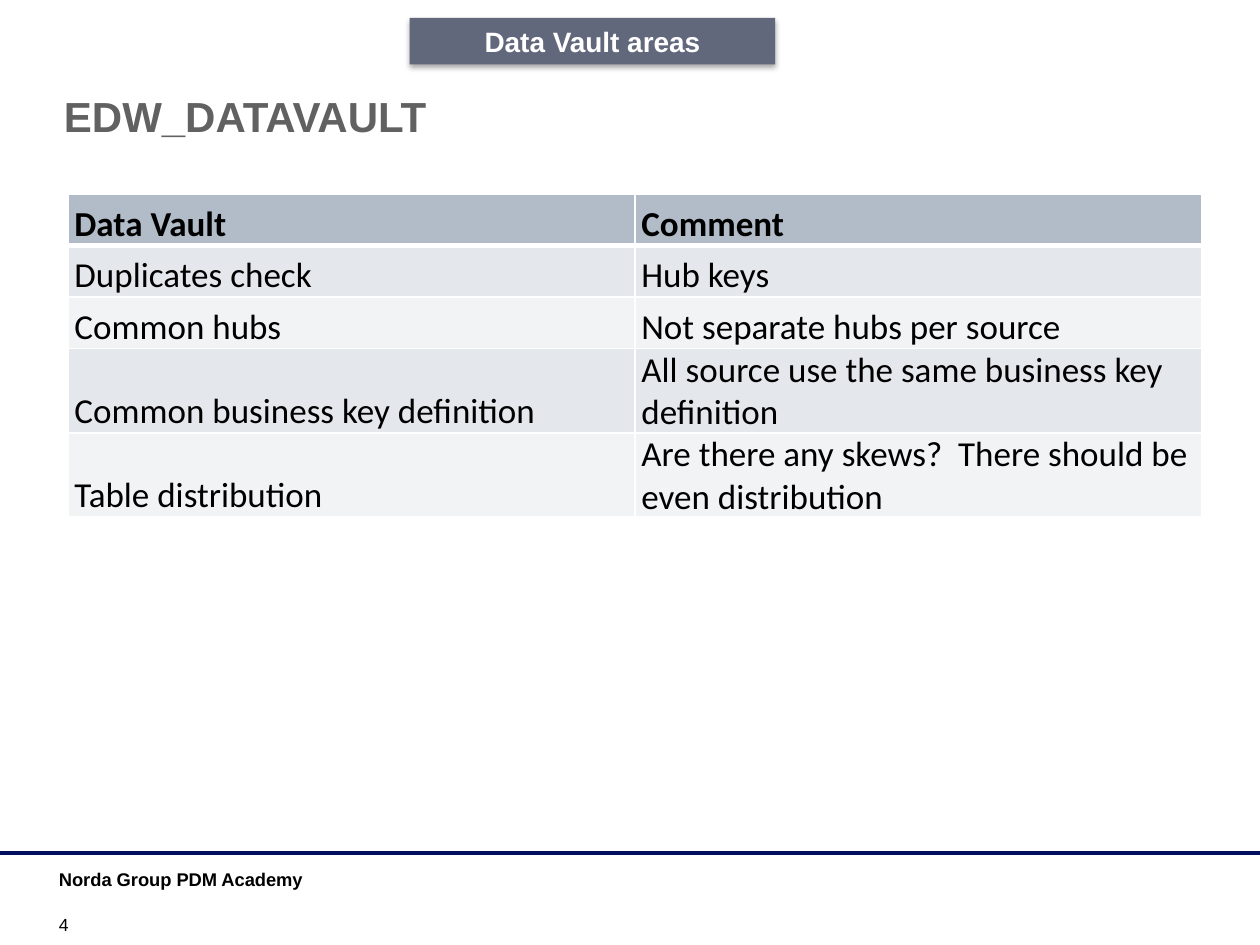
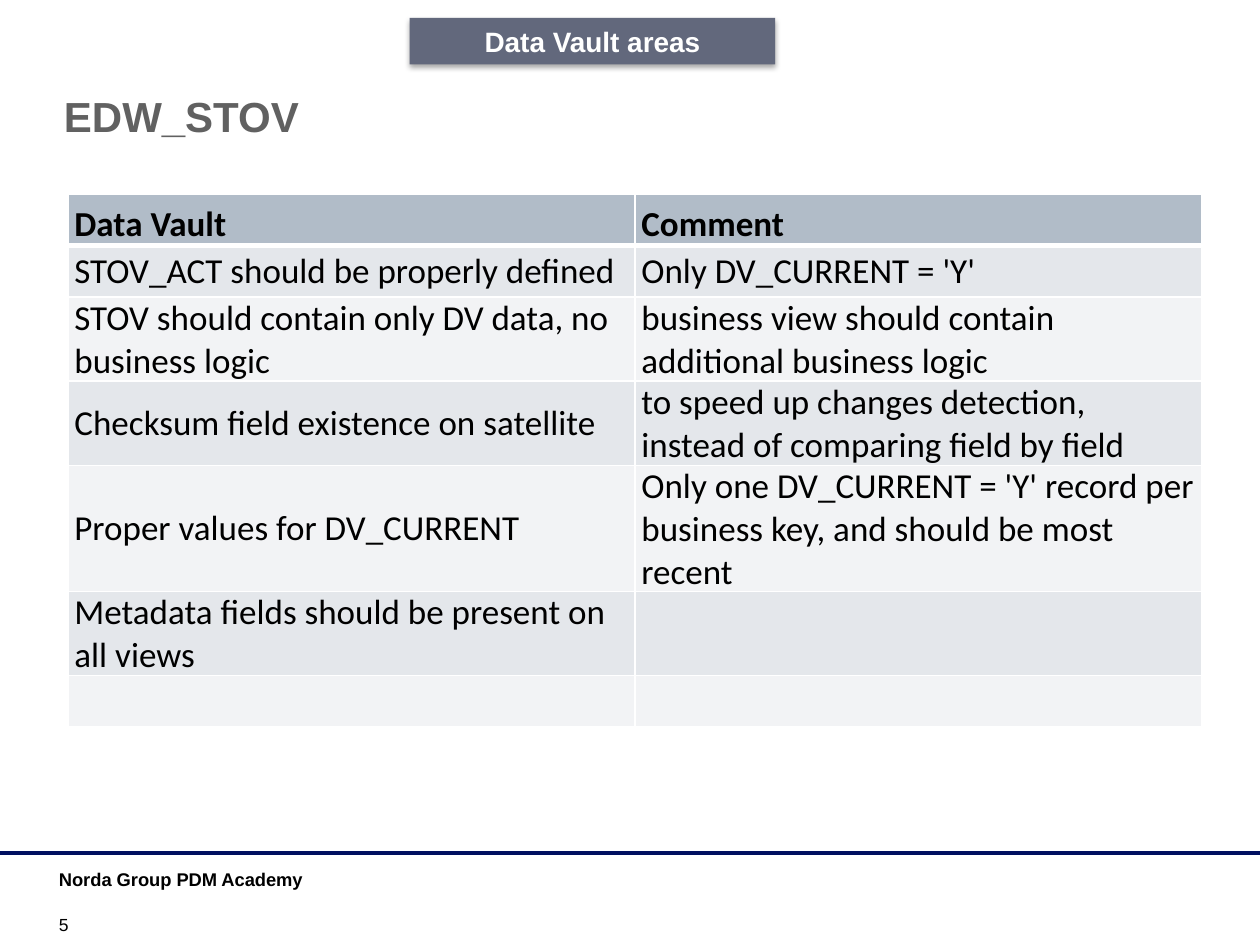
from pptx import Presentation
from pptx.dml.color import RGBColor
from pptx.enum.shapes import MSO_CONNECTOR, MSO_SHAPE
from pptx.enum.text import MSO_ANCHOR, PP_ALIGN
from pptx.oxml import parse_xml
from pptx.oxml.ns import nsdecls, qn
from pptx.util import Cm, Pt
from lxml import etree

RECT = MSO_SHAPE.RECTANGLE
LINE = MSO_CONNECTOR.STRAIGHT
TOP, MID, LOW = MSO_ANCHOR.TOP, MSO_ANCHOR.MIDDLE, MSO_ANCHOR.BOTTOM
LEFT, CENTER = PP_ALIGN.LEFT, PP_ALIGN.CENTER

COLORS = {
    "title": "616161", "text": "000000", "white": "FFFFFF",
    "rule": "000F60", "banner": "62687C",
    "head": "B1BCC8", "odd": "E4E7EB", "even": "F2F3F5",
}

# Font formats: attribute values plus a colour key
FONTS = {
    "title": ({"name": "Arial", "size": Pt(24), "bold": True}, "title"),
    "banner": ({"name": "Arial", "size": Pt(16), "bold": True}, "white"),
    "footer": ({"name": "Arial", "size": Pt(10.5), "bold": True}, "text"),
    "number": ({"name": "Arial", "size": Pt(10), "bold": False}, "text"),
    "head": ({"name": "Calibri", "size": Pt(20), "bold": True}, "text"),
    "body": ({"name": "Calibri", "size": Pt(20), "bold": False}, "text"),
}

# Page number, title, anchor of the body cells, table rows
HEAD = ("Data Vault", "Comment")
PAGES = [
    (4, "EDW_DATAVAULT", LOW, [
        HEAD,
        ("Duplicates check", "Hub keys"),
        ("Common hubs", "Not separate hubs per source"),
        ("Common business key definition",
         "All source use the same business key definition"),
        ("Table distribution",
         "Are there any skews?  There should be even distribution"),
    ]),
    (5, "EDW_STOV", MID, [
        HEAD,
        ("STOV_ACT should be properly defined", "Only DV_CURRENT = 'Y'"),
        ("STOV should contain only DV data, no business logic",
         "business view should contain additional business logic"),
        ("Checksum field existence on satellite",
         "to speed up changes detection, instead of comparing field by field"),
        ("Proper values for DV_CURRENT",
         "Only one DV_CURRENT = 'Y' record per business key, "
         "and should be most recent"),
        ("Metadata fields should be present on all views", ""),
        ("", ""),
    ]),
]


def color(key):
    return RGBColor.from_string(COLORS[key])


def write(frame, text, style, align=LEFT):
    para = frame.paragraphs[0]
    para.alignment = align
    if not text:
        return
    run = para.add_run()
    run.text = text
    values, ink = FONTS[style]
    for name, value in values.items():
        setattr(run.font, name, value)
    run.font.color.rgb = color(ink)


def add_text(slide, box, text, style, anchor=TOP, wrap=True):
    frame = slide.shapes.add_textbox(*map(Cm, box)).text_frame
    frame.word_wrap = wrap
    frame.vertical_anchor = anchor
    write(frame, text, style)


def add_rule(slide, y):
    rule = slide.shapes.add_connector(LINE, Cm(0), Cm(y), Cm(25.4), Cm(y))
    rule.line.color.rgb = color("rule")
    rule.line.width = Pt(2)
    etree.SubElement(rule._element.spPr, qn("a:effectLst"))


def add_banner(slide, box, text):
    shape = slide.shapes.add_shape(RECT, *map(Cm, box))
    shape.fill.solid()
    shape.fill.fore_color.rgb = color("banner")
    shape.line.fill.background()
    # Soft shadow straight below
    shape.shadow.inherit = False
    shape._element.spPr.find(qn("a:effectLst")).append(parse_xml(
        f'<a:outerShdw {nsdecls("a")} blurRad="{Pt(3.1)}" dist="{Pt(1.8)}" '
        'dir="5400000" rotWithShape="0"><a:srgbClr val="000000">'
        '<a:alpha val="35000"/></a:srgbClr></a:outerShdw>'))
    shape.text_frame.vertical_anchor = MID
    write(shape.text_frame, text, "banner", CENTER)


def add_border(cell, side, width):
    cell._tc.get_or_add_tcPr().append(parse_xml(
        f'<a:{side} {nsdecls("a")} w="{Pt(width)}"><a:solidFill>'
        f'<a:srgbClr val="{COLORS["white"]}"/></a:solidFill></a:{side}>'))


def fill_cell(cell, row, text, anchor):
    sides = {"lnL": 1, "lnR": 1, "lnT": 3 if row == 1 else 1,
             "lnB": 3 if row == 0 else 1}
    for side, width in sides.items():
        add_border(cell, side, width)
    band = "head" if row == 0 else "odd" if row % 2 else "even"
    cell.fill.solid()
    cell.fill.fore_color.rgb = color(band)
    layout = {"margin_left": Cm(0.13), "margin_right": Cm(0.13),
              "margin_top": 0, "margin_bottom": 0,
              "vertical_anchor": LOW if row == 0 else anchor}
    for name, value in layout.items():
        setattr(cell, name, value)
    write(cell.text_frame, text, "body" if row else "head")


def add_grid(slide, rows, anchor):
    high = 1.04
    table = slide.shapes.add_table(
        len(rows), len(HEAD), Cm(1.37), Cm(3.91),
        Cm(22.86), Cm(high * len(rows))).table
    for r, texts in enumerate(rows):
        table.rows[r].height = Cm(high)
        for c, text in enumerate(texts):
            fill_cell(table.cell(r, c), r, text, anchor)


def add_frame(slide, number, title):
    # Footer, title and banner that every slide shares
    add_rule(slide, 17.2)
    add_text(slide, (0.94, 17.37, 5.92, 0.61), "Norda Group PDM Academy",
             "footer", wrap=False)
    add_text(slide, (0.94, 18.39, 1.4, 0.58), str(number), "number", LOW)
    add_text(slide, (1.04, 1.7, 22.86, 1.85), title, "title")
    add_banner(slide, (8.26, 0.36, 7.37, 0.94), "Data Vault areas")


def main():
    deck = Presentation()
    deck.slide_width, deck.slide_height = Cm(25.4), Cm(19.05)
    for number, title, anchor, rows in PAGES:
        slide = deck.slides.add_slide(deck.slide_layouts[6])
        add_frame(slide, number, title)
        add_grid(slide, rows, anchor)
    deck.save("out.pptx")


main()
